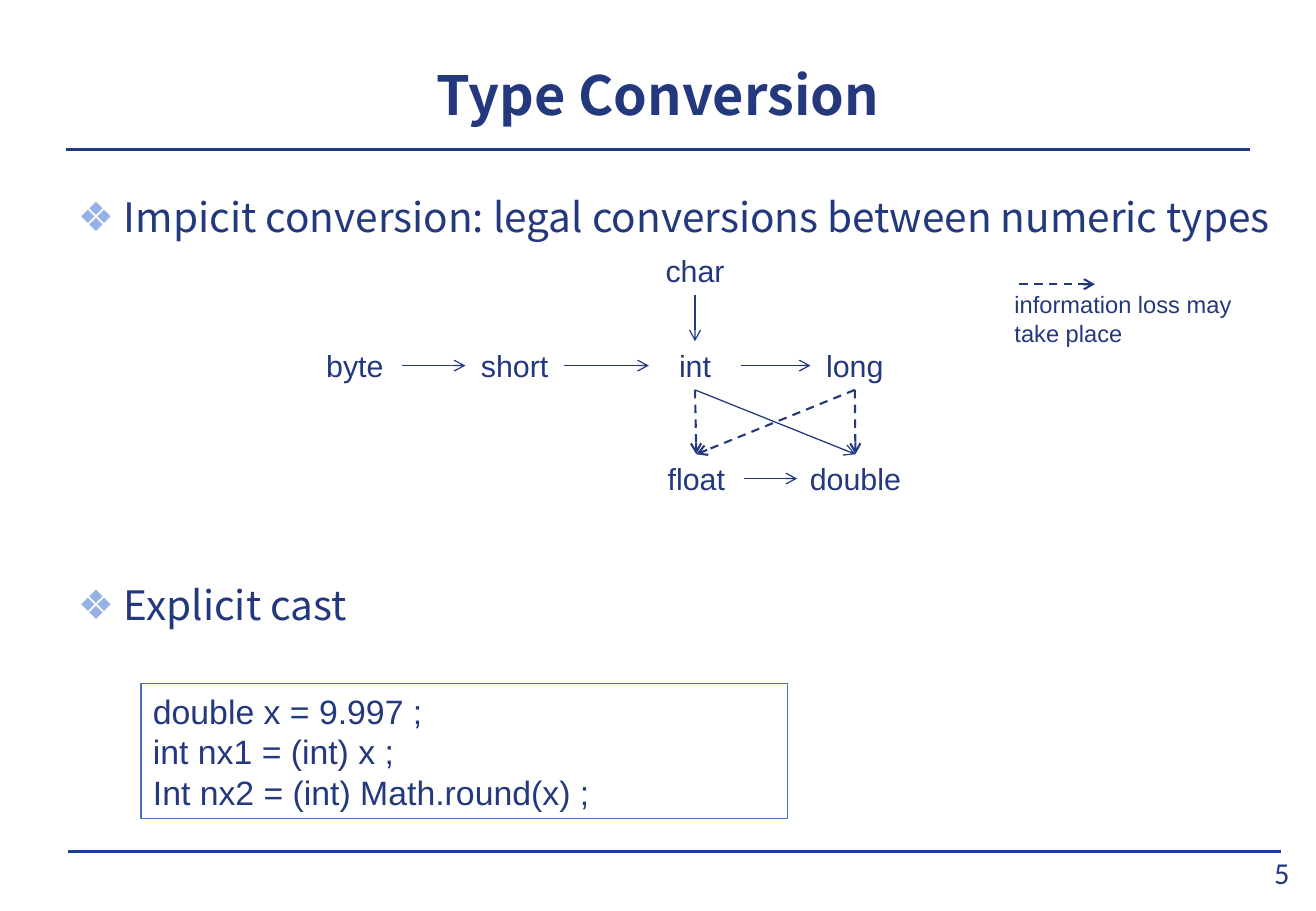
"""Build the Type Conversion slide."""
from dataclasses import dataclass

from lxml.etree import SubElement
from pptx import Presentation
from pptx.dml.color import RGBColor
from pptx.enum.dml import MSO_LINE_DASH_STYLE as DASH
from pptx.enum.shapes import MSO_CONNECTOR as CONNECTOR, MSO_SHAPE as SHAPE
from pptx.enum.text import MSO_ANCHOR as ANCHOR, MSO_AUTO_SIZE as AUTO_SIZE, PP_ALIGN as ALIGN
from pptx.oxml.ns import qn
from pptx.util import Inches, Pt

TOP, LEFT, BOTTOM, RIGHT = range(4)


@dataclass(frozen=True)
class Theme:
    """Hold the colours, fonts and type sizes of the deck."""
    ink: str = "23387D"
    bullet: str = "96B1E6"
    footer_rule: str = "1A3D97"
    code_border: str = "4972BB"
    heading_font: str = "Noto Sans CJK KR"
    diagram_font: str = "Arial"
    number_font: str = "Calibri"
    title_size: int = 32
    list_size: int = 24
    code_size: int = 20
    node_size: int = 18
    legend_size: int = 14


def write(frame, text, *, font, size, color, bold=False, align=ALIGN.LEFT,
          anchor=ANCHOR.TOP, wrap=True, margin=None):
    """Fill a text frame with one paragraph per line and return the paragraphs."""
    frame.auto_size = AUTO_SIZE.NONE
    frame.word_wrap = wrap
    frame.vertical_anchor = anchor
    if margin is not None:
        frame.margin_left = frame.margin_right = Inches(margin)
        frame.margin_top = frame.margin_bottom = Inches(margin)
    frame.text = text
    for para in frame.paragraphs:
        para.alignment = align
        for span in para.runs:
            span.font.name = font
            span.font.size = Pt(size)
            span.font.bold = bold
            span.font.color.rgb = RGBColor.from_string(color)
    return frame.paragraphs


class SlideBuilder:
    """Draw styled elements on the current slide."""

    def __init__(self, slide, theme):
        """Keep the slide and its theme."""
        self.slide = slide
        self.theme = theme

    def place(self, shape, area):
        """Move a shape to an area given in inches."""
        shape.left, shape.top, shape.width, shape.height = map(Inches, area)

    def title(self, text, area):
        """Fill the title placeholder."""
        box = self.slide.shapes.title
        self.place(box, area)
        write(box.text_frame, text, font=self.theme.heading_font, size=self.theme.title_size,
              color=self.theme.ink, bold=True, align=ALIGN.CENTER, anchor=ANCHOR.MIDDLE)

    def bullets(self, items, area, gap):
        """Fill the body placeholder with bulleted items set apart by a gap in points."""
        box = self.slide.placeholders[1]
        self.place(box, area)
        paras = write(box.text_frame, "\n".join(items), font=self.theme.heading_font,
                      size=self.theme.list_size, color=self.theme.ink)
        for index, para in enumerate(paras):
            para.line_spacing = 0.9
            para.space_before = Pt(gap if index else 0)
            properties = para._p.get_or_add_pPr()
            properties.set("marL", str(Inches(0.38)))
            properties.set("indent", str(Inches(-0.38)))
            color = SubElement(properties, qn("a:buClr"))
            SubElement(color, qn("a:srgbClr"), val=self.theme.bullet)
            SubElement(properties, qn("a:buChar"), char="❖")

    def label(self, text, area, **style):
        """Add a text box and return it."""
        box = self.slide.shapes.add_textbox(*map(Inches, area))
        style = {"font": self.theme.diagram_font, "size": self.theme.node_size,
                 "color": self.theme.ink, **style}
        write(box.text_frame, text, **style)
        return box

    def code(self, lines, area):
        """Add an outlined box of code lines."""
        box = self.slide.shapes.add_shape(SHAPE.RECTANGLE, *map(Inches, area))
        box.shadow.inherit = False
        box.fill.background()
        box.line.color.rgb = RGBColor.from_string(self.theme.code_border)
        box.line.width = Pt(0.75)
        write(box.text_frame, "\n".join(lines), font=self.theme.diagram_font,
              size=self.theme.code_size, color=self.theme.ink, anchor=ANCHOR.MIDDLE)

    def line(self, start=(0, 0), end=(0, 0), *, color=None, width=0.75):
        """Add a straight line and return it."""
        line = self.slide.shapes.add_connector(CONNECTOR.STRAIGHT, *map(Inches, (*start, *end)))
        line.line.color.rgb = RGBColor.from_string(color or self.theme.ink)
        line.line.width = Pt(width)
        SubElement(line._element.spPr, qn("a:effectLst"))
        return line

    def arrow(self, start=(0, 0), end=(0, 0), *, lossy=False):
        """Add an arrow, dashed when the conversion may lose information."""
        arrow = self.line(start, end, width=1.25 if lossy else 0.75)
        if lossy:
            arrow.line.dash_style = DASH.DASH
        SubElement(arrow.line._get_or_add_ln(), qn("a:tailEnd"), type="arrow")
        return arrow

    def link(self, source, source_side, target, target_side, lossy=False):
        """Join two boxes with an arrow."""
        arrow = self.arrow(lossy=lossy)
        arrow.begin_connect(source, source_side)
        arrow.end_connect(target, target_side)


def main():
    """Build and save the deck."""
    deck = Presentation()
    deck.slide_width, deck.slide_height = Inches(10.83), Inches(7.5)
    theme = Theme()
    page = SlideBuilder(deck.slides.add_slide(deck.slide_layouts[1]), theme)

    page.line((0.56, 7.01), (10.54, 7.01), color=theme.footer_rule, width=0)
    page.label("5", (10.3, 7.03, 0.5, 0.3), font=theme.number_font, align=ALIGN.CENTER,
               anchor=ANCHOR.MIDDLE, margin=0)
    page.line((0.54, 1.23), (10.29, 1.23), width=1.5)
    page.title("Type Conversion", (0.54, 0.35, 9.75, 0.84))
    page.bullets(["Impicit conversion: legal conversions between numeric types", "Explicit cast"],
                 (0.54, 1.58, 10.03, 3.9), gap=204)

    char_row, integer_row, real_row = 2.03, 2.81, 3.74
    places = {
        "byte": (2.53, integer_row, 0.78),
        "short": (3.83, integer_row, 0.81),
        "char": (5.34, char_row, 0.76),
        "int": (5.34, integer_row, 0.76),
        "long": (6.67, integer_row, 0.73),
        "float": (5.34, real_row, 0.78),
        "double": (6.56, real_row, 0.96),
    }
    nodes = {name: page.label(name, (*place, 0.4), align=ALIGN.CENTER, wrap=False)
             for name, place in places.items()}
    for source, target in (("byte", "short"), ("short", "int"), ("int", "long"),
                           ("float", "double")):
        page.link(nodes[source], RIGHT, nodes[target], LEFT)
    for source, target, lossy in (("char", "int", False), ("int", "float", True),
                                  ("int", "double", False), ("long", "double", True),
                                  ("long", "float", True)):
        page.link(nodes[source], BOTTOM, nodes[target], TOP, lossy)

    page.arrow((8.39, 2.34), (9.01, 2.34), lossy=True)
    page.label("information loss may take place", (8.25, 2.34, 2.09, 0.57),
               size=theme.legend_size)
    page.code(["double x = 9.997 ;", "int nx1 = (int) x ;", "Int nx2 = (int) Math.round(x) ;"],
              (1.16, 5.63, 5.32, 1.11))
    deck.save("out.pptx")


if __name__ == "__main__":
    main()
